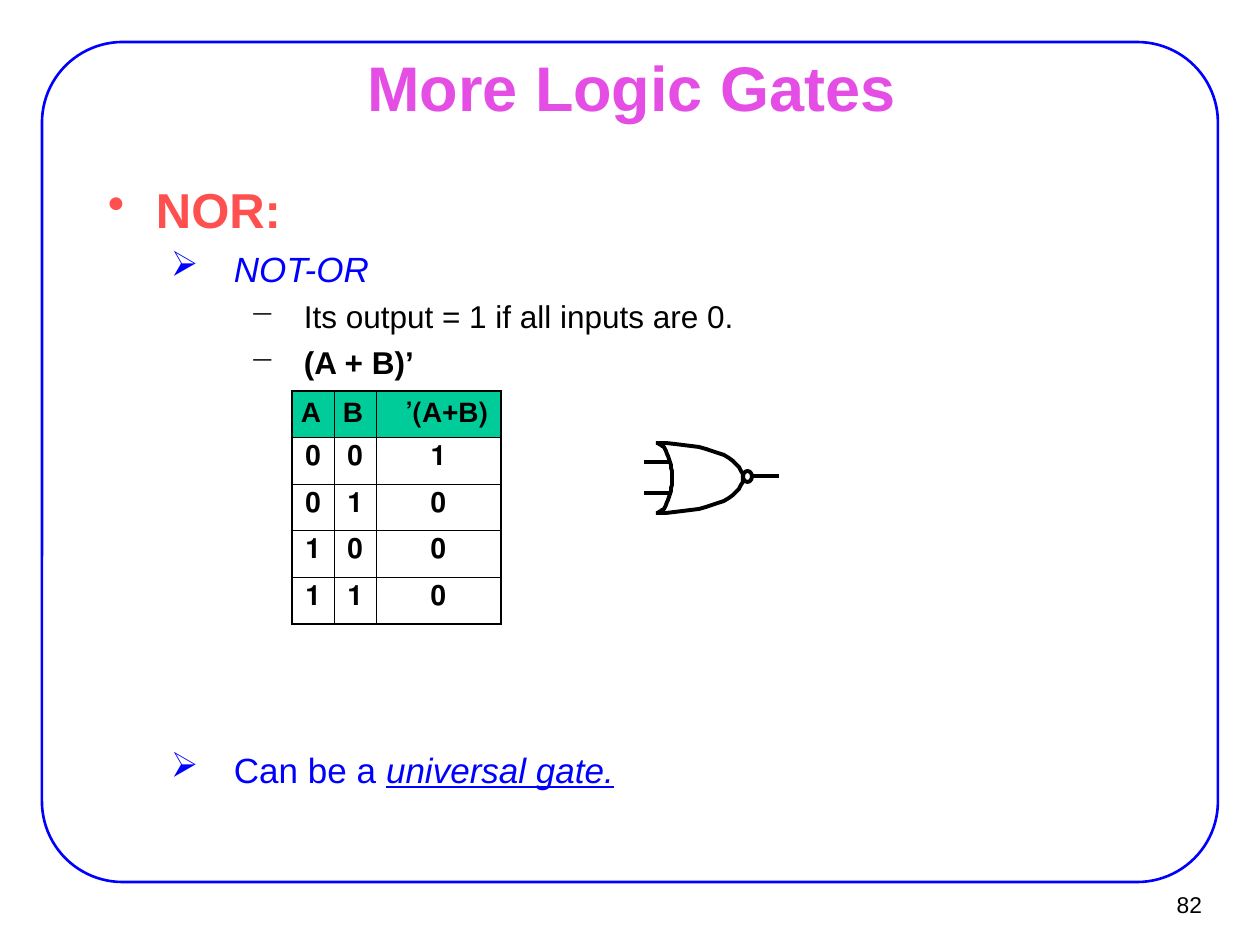
from dataclasses import dataclass

from lxml.etree import SubElement
from pptx import Presentation
from pptx.dml.color import RGBColor
from pptx.enum.shapes import MSO_CONNECTOR, MSO_SHAPE
from pptx.enum.text import MSO_ANCHOR, PP_ALIGN
from pptx.oxml.ns import qn
from pptx.util import Pt

PX = 914400 // 126
FONT = "Arial"
BLACK = RGBColor(0x00, 0x00, 0x00)
BLUE = RGBColor(0x00, 0x00, 0xFF)
PINK = RGBColor(0xE4, 0x4E, 0xE4)
RED = RGBColor(0xFF, 0x50, 0x50)
GREEN = RGBColor(0x00, 0xCC, 0x99)
THIN, THICK, GATE_LINE = Pt(0.45), Pt(1.08), Pt(2.25)
GATE_AXIS = 478
TRUTH_TABLE = [("A", "B", "(A+B)’"), ("0", "0", "1"), ("0", "1", "0"),
               ("1", "0", "0"), ("1", "1", "0")]


@dataclass(frozen=True)
class Level:
    bullet: str
    margin: int
    indent: int
    size: int
    color: RGBColor


@dataclass(frozen=True)
class Span:
    text: str
    bold: bool = False
    italic: bool = False
    underline: bool = False


@dataclass(frozen=True)
class Item:
    level: int
    before: float
    spans: tuple[Span, ...]


LEVELS = [Level("•", 48, -48, 28, RED), Level("➢", 126, -63, 20, BLUE),
          Level("−", 196, -54, 18, BLACK)]
ITEMS = [
    Item(0, 0, (Span("NOR:", bold=True),)),
    Item(1, 5, (Span("NOT-OR", italic=True),)),
    Item(2, 4.5, (Span("Its output = 1 if all inputs are 0."),)),
    Item(2, 4.5, (Span("(A + B)’", bold=True),)),
    Item(1, 210, (Span("Can be a "), Span("universal gate.", italic=True, underline=True))),
]


def px(*values: int) -> list[int]:
    """Turn pixel lengths into EMU."""
    return [v * PX for v in values]


def style(font, size: float, color: RGBColor, bold: bool = False) -> None:
    """Set the face, size, colour and weight of a font."""
    font.name, font.size, font.bold = FONT, Pt(size), bold
    font.color.rgb = color


def set_insets(tf, x: int, y: int) -> None:
    """Set equal side margins and equal top and bottom margins."""
    tf.margin_left = tf.margin_right = x * PX
    tf.margin_top = tf.margin_bottom = y * PX


def outline(sp, color: RGBColor, width: int) -> None:
    """Give a shape a plain outline and no fill."""
    sp.shadow.inherit = False
    sp.fill.background()
    sp.line.color.rgb, sp.line.width = color, width


def add_title(s) -> None:
    """Place and format the slide title."""
    sp = s.shapes.title
    sp.left, sp.top, sp.width, sp.height = px(96, 55, 1071, 62)
    tf = sp.text_frame
    tf.text = "More Logic Gates"
    tf.vertical_anchor = MSO_ANCHOR.MIDDLE
    set_insets(tf, 14, 8)
    p = tf.paragraphs[0]
    p.alignment = PP_ALIGN.CENTER
    style(p.runs[0].font, 36, PINK, True)


def add_page_number(s) -> None:
    """Add the page number below the frame."""
    tf = s.shapes.add_textbox(*px(1136, 881, 77, 46)).text_frame
    tf.text = "82"
    tf.word_wrap = False
    tf.vertical_anchor = MSO_ANCHOR.MIDDLE
    set_insets(tf, 11, 5)
    p = tf.paragraphs[0]
    p.alignment = PP_ALIGN.RIGHT
    style(p.runs[0].font, 13, BLACK)


def add_bullet(p, level: Level) -> None:
    """Give a paragraph its indent and a coloured bullet."""
    pPr = p._p.get_or_add_pPr()
    pPr.set("marL", str(level.margin * PX))
    pPr.set("indent", str(level.indent * PX))
    SubElement(SubElement(pPr, qn("a:buClr")), qn("a:srgbClr")).set("val", str(level.color))
    SubElement(pPr, qn("a:buChar")).set("char", level.bullet)


def add_body(s, items: list[Item]) -> None:
    """Add the bulleted text."""
    tf = s.shapes.add_textbox(*px(94, 172, 1071, 640)).text_frame
    tf.word_wrap = True
    set_insets(tf, 14, 8)
    for i, item in enumerate(items):
        p = tf.add_paragraph() if i else tf.paragraphs[0]
        level = LEVELS[item.level]
        p.level = item.level
        add_bullet(p, level)
        if item.before:
            p.space_before = Pt(item.before)
        for span in item.spans:
            r = p.add_run()
            r.text = span.text
            style(r.font, level.size, level.color, span.bold)
            r.font.italic, r.font.underline = span.italic, span.underline


def set_borders(cell, widths: dict[str, int]) -> None:
    """Draw the four borders of a cell."""
    tcPr = cell._tc.get_or_add_tcPr()
    for i, (side, width) in enumerate(widths.items()):
        ln = tcPr.makeelement(qn(f"a:{side}"), {"w": str(width)})
        SubElement(SubElement(ln, qn("a:solidFill")), qn("a:srgbClr")).set("val", str(BLACK))
        tcPr.insert(i, ln)


def add_truth_table(s, rows: list[tuple[str, ...]]) -> None:
    """Add the truth table with a heavier outer border."""
    widths = (42, 42, 125)
    last_row, last_col = len(rows) - 1, len(widths) - 1
    table = s.shapes.add_table(len(rows), len(widths), *px(292, 391, sum(widths), 233)).table
    for col, width in zip(table.columns, widths):
        col.width = width * PX
    for i, row in enumerate(rows):
        for j, text in enumerate(row):
            cell = table.cell(i, j)
            cell.text = text
            set_insets(cell, 13, 6)
            if i == 0:
                cell.fill.solid()
                cell.fill.fore_color.rgb = GREEN
            else:
                cell.fill.background()
            p = cell.text_frame.paragraphs[0]
            p.alignment = PP_ALIGN.CENTER if i and j == last_col else PP_ALIGN.RIGHT
            p._p.get_or_add_pPr().set("rtl", "1")
            style(p.runs[0].font, 16, BLACK, True)
            outer = {"lnL": j == 0, "lnR": j == last_col, "lnT": i == 0, "lnB": i == last_row}
            set_borders(cell, {side: THICK if edge else THIN for side, edge in outer.items()})


def add_wire(shapes, x1: int, x2: int, y: int) -> None:
    """Add a horizontal wire of the gate."""
    c = shapes.add_connector(MSO_CONNECTOR.STRAIGHT, *px(x1, y, x2, y))
    c.line.color.rgb, c.line.width = BLACK, GATE_LINE
    SubElement(c._element.spPr, qn("a:effectLst"))


def add_arc(shapes, controls: list[tuple[int, int]], steps: int = 16) -> None:
    """Add a Bezier curve joined to its mirror image below the gate axis."""
    upper = []
    for k in range(steps + 1):
        t = k / steps
        weights = ((1 - t) ** 3, 3 * t * (1 - t) ** 2, 3 * t * t * (1 - t), t ** 3)
        upper.append(tuple(sum(w * c[a] for w, c in zip(weights, controls)) for a in (0, 1)))
    points = upper + [(x, 2 * GATE_AXIS - y) for x, y in reversed(upper[:-1])]
    fb = shapes.build_freeform(*points[0], scale=PX)
    fb.add_line_segments(points[1:], close=False)
    outline(fb.convert_to_shape(), BLACK, GATE_LINE)


def add_nor_gate(s) -> None:
    """Add the NOR gate symbol as one group."""
    shapes = s.shapes.add_group_shape().shapes
    for x1, x2, y in ((644, 669, 462), (644, 669, 493), (752, 779, 476)):
        add_wire(shapes, x1, x2, y)
    add_arc(shapes, [(656, 443), (665, 443), (672, 460), (672, GATE_AXIS)])
    add_arc(shapes, [(657, 443), (706, 443), (743, 458), (743, GATE_AXIS)])
    outline(shapes.add_shape(MSO_SHAPE.OVAL, *px(743, 471, 9, 11)), BLACK, GATE_LINE)


def main() -> None:
    """Build the slide and save it."""
    prs = Presentation()
    prs.slide_width, prs.slide_height = px(1260, 945)
    s = prs.slides.add_slide(prs.slide_layouts[5])
    frame = s.shapes.add_shape(MSO_SHAPE.ROUNDED_RECTANGLE, *px(42, 42, 1176, 840))
    frame.adjustments[0] = 0.096
    outline(frame, BLUE, Pt(1.5))
    add_page_number(s)
    add_title(s)
    add_body(s, ITEMS)
    add_truth_table(s, TRUTH_TABLE)
    add_nor_gate(s)
    prs.save("out.pptx")


if __name__ == "__main__":
    main()
